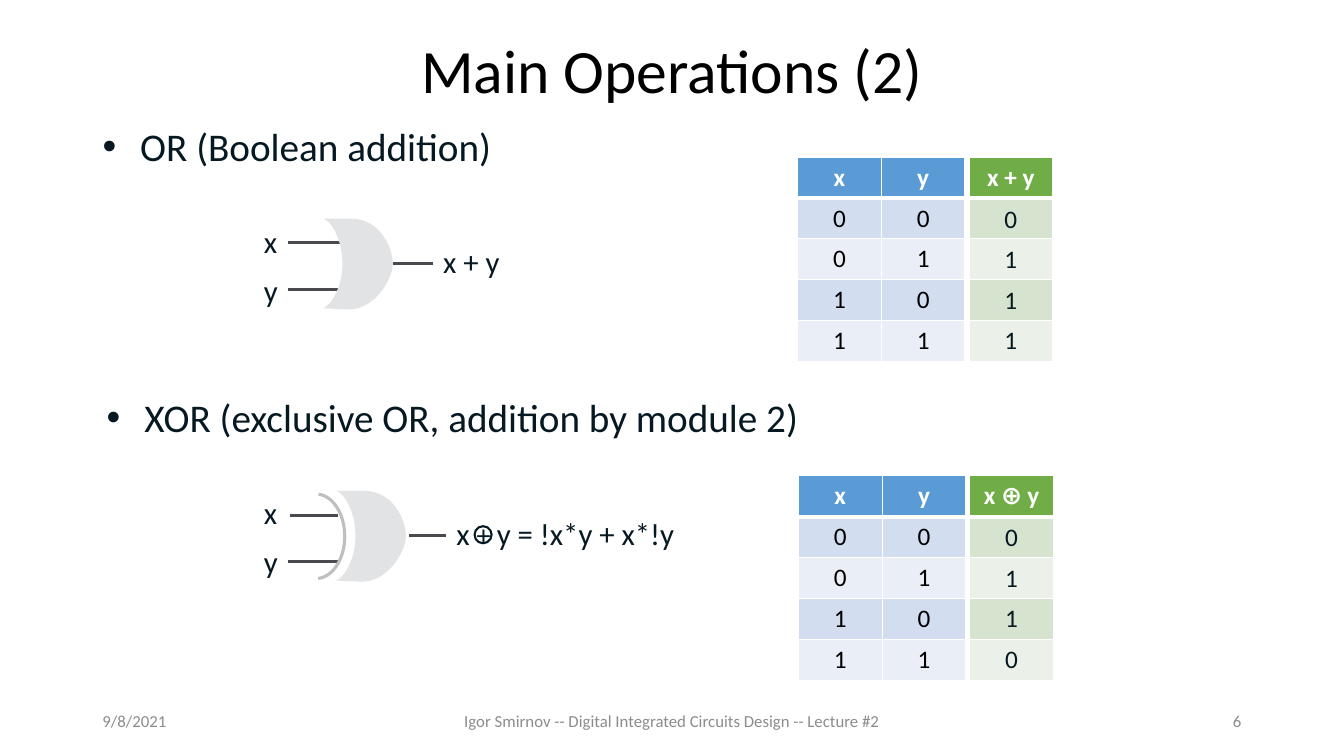
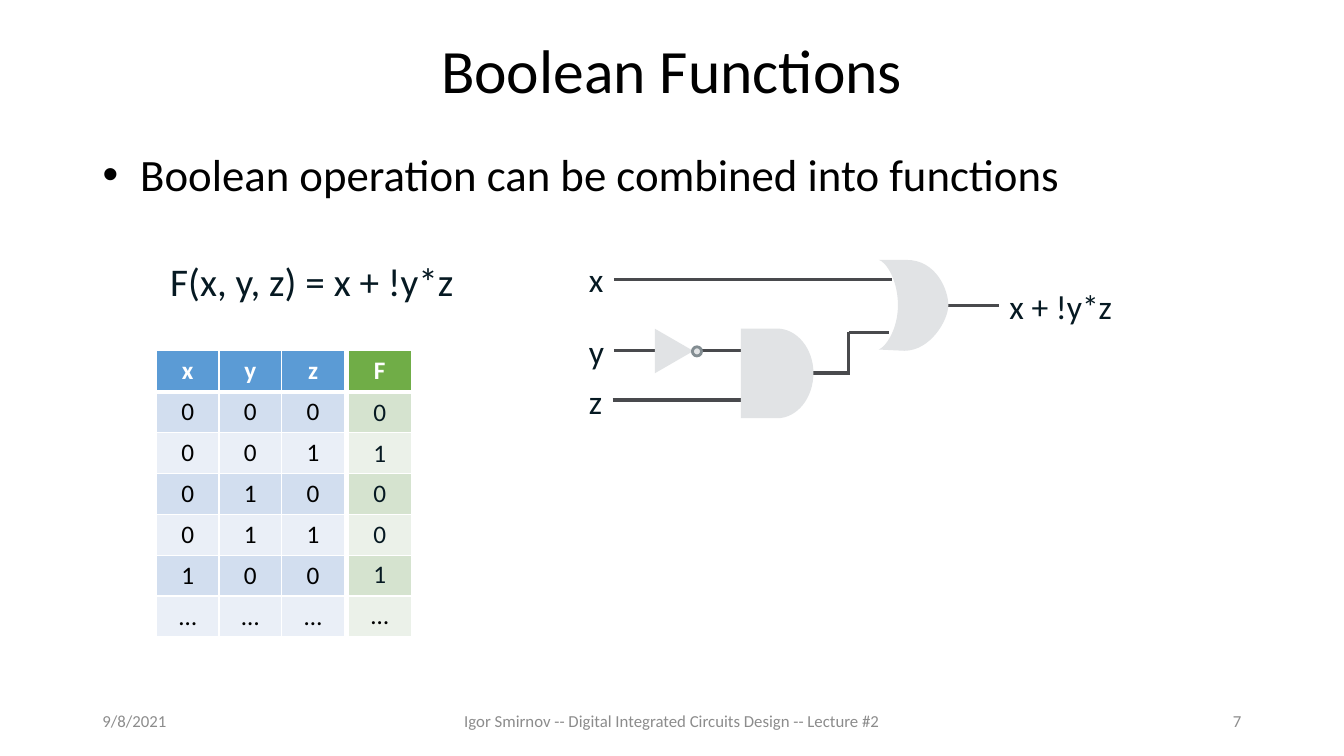
import copy
import dataclasses

import lxml.etree
import pptx
import pptx.dml.color
import pptx.enum.shapes
import pptx.enum.text
import pptx.oxml.ns
import pptx.util

Cm, Pt = pptx.util.Cm, pptx.util.Pt
ALIGN = pptx.enum.text.PP_ALIGN
MID, TOP = pptx.enum.text.MSO_ANCHOR.MIDDLE, pptx.enum.text.MSO_ANCHOR.TOP
KIND = pptx.enum.shapes.MSO_SHAPE
qn = pptx.oxml.ns.qn


@dataclasses.dataclass(frozen=True)
class Theme:
    font: str = "Calibri"
    black: str = "000000"
    white: str = "FFFFFF"
    ink: str = "061922"
    grey: str = "8C8C8C"
    wire: str = "494A4D"
    gate: str = "E1E3E5"
    arc: str = "BFBFBF"
    ring: str = "838D92"
    blue: tuple = ("5B9BD5", "D2DEEF", "EAEFF7")
    green: tuple = ("70AD47", "D5E3CF", "EBF1E9")
    title: int = 44
    lead: int = 32
    item: int = 28
    cell: int = 18
    foot: int = 12
    line: float = 2.25


T = Theme()

# All lengths are in centimetres. A bar in a text starts or ends a smaller run.
WIDE, HIGH = 33.87, 19.05
TITLE = (2.33, 0, 29.21, 3.7)
BANDS = {  # footer type: box, alignment
    "DATE": ((2.33, 17.65, 7.62, 1.01), ALIGN.LEFT),
    "FOOTER": ((11.22, 17.65, 11.43, 1.01), ALIGN.CENTER),
    "SLIDE_NUMBER": ((23.92, 17.65, 7.62, 1.01), ALIGN.RIGHT),
}
DATE = "9/8/2021"
FOOTER = "Igor Smirnov -- Digital Integrated Circuits Design -- Lecture #2"
ROW, GAP = 1.03, 0.1
VALUE = (1.09, 1.02)

# Outlines: a pair is a corner, six numbers are a Bezier curve.
OR = [(0.69, 0), (0, 0), (0.18, 0.05, 0.48, 0.5, 0.48, 1.14),
      (0.48, 1.75, 0.18, 2.18, 0, 2.26), (0.64, 2.29),
      (1.3, 2.29, 1.75, 1.52, 1.75, 1.14), (1.75, 0.76, 1.45, 0, 0.69, 0)]
AND = [(0, 0), (0.91, 0), (1.42, 0, 1.83, 0.51, 1.83, 1.12),
       (1.83, 1.75, 1.42, 2.26, 0.91, 2.26), (0, 2.26)]

PAIRS = ["0 0", "0 1", "1 0", "1 1"]
SLIDES = [
    dict(
        title="Main Operations (2)", page="6",
        body=("OR (Boolean addition)", (2.33, 2.95, 29.21, 1.5), T.item, T.ink),
        extra=("XOR (exclusive OR, addition by module 2)",
               (2.44, 9.78, 18.24, 2.03), T.item, T.ink),
        tables=[  # left, top, column width, inputs, rows, result, values
            (20.1, 3.96, 2.11, "x y", PAIRS, "x + y", "0 1 1 1"),
            (20.12, 11.99, 2.11, "x y", PAIRS, "x ⊕| |y", "0 1 1 0"),
        ],
        wires=[
            (7.26, 6.1, 8.59, 6.1), (7.26, 7.29, 8.59, 7.29),
            (9.91, 6.65, 10.92, 6.65),
            (7.32, 12.98, 8.51, 12.98), (7.26, 14.15, 8.51, 14.15),
            (10.31, 13.49, 11.25, 13.49),
        ],
        gates=[(OR, 8.15, 5.51), (OR, 8.48, 12.37)],
        labels=[  # text, left, top, width, size
            ("x", 6.4, 5.49, 0.86, 22), ("y", 6.4, 6.71, 0.86, 22),
            ("x + y", 10.92, 5.99, 1.96, 22),
            ("x", 6.4, 12.32, 0.86, 22), ("y", 6.4, 13.54, 0.86, 22),
            ("x |+ |y = !x*y + x*!y", 11.25, 12.84, 6.07, 22),
        ],
        marks=[  # kind, box, fill, line, line width, turn, adjustments
            (KIND.OVAL, (11.96, 13.26, 0.43, 0.43), None, T.ink, 1.5, 0, ()),
            (KIND.ARC, (7.24, 12.45, 1.45, 2.13), None, T.arc, T.line, 0,
             (164.091, 52.213)),
        ],
    ),
    dict(
        title="Boolean Functions", page="7",
        body=("Boolean operation can be combined into functions",
              (2.33, 3.58, 29.21, 1.83), T.lead, T.black),
        extra=None,
        tables=[
            (3.94, 8.84, 1.58, "x y z",
             ["0 0 0", "0 0 1", "0 1 0", "0 1 1", "1 0 0", "… … …"],
             "F", "0 1 0 0 1 …"),
        ],
        wires=[
            (15.47, 7.04, 22.48, 7.04), (15.47, 8.84, 16.51, 8.84),
            (17.68, 8.84, 18.67, 8.84), (15.44, 10.08, 18.67, 10.08),
            (20.5, 9.4, 21.39, 9.4), (21.39, 9.45, 21.39, 8.36),
            (21.39, 8.38, 22.4, 8.38), (23.9, 7.7, 25.17, 7.7),
        ],
        gates=[(AND, 18.67, 8.28), (OR, 22.15, 6.55)],
        labels=[
            ("F(x, y, z) = x + !y*z", 4.04, 6.35, 8.2, 28),
            ("x", 14.59, 6.4, 0.89, 24), ("y", 14.59, 8.22, 0.89, 24),
            ("z", 14.59, 9.47, 0.86, 24),
            ("x + !y*z", 25.19, 7.08, 3.12, 24),
        ],
        marks=[
            (KIND.ISOSCELES_TRIANGLE, (16.43, 8.36, 1.12, 0.97), T.gate,
             None, 0, 90, ()),
            (KIND.OVAL, (17.45, 8.74, 0.23, 0.23), T.gate, T.ring, 2, 0, ()),
        ],
    ),
]


def rgb(tone):
    return pptx.dml.color.RGBColor.from_string(tone)


def place(shape, box):
    shape.left, shape.top, shape.width, shape.height = map(Cm, box)


def write(frame, text, size, tone, align=ALIGN.LEFT, bold=False):
    """Fill the frame; every second part between bars is 2 pt smaller."""
    para = frame.paragraphs[0]
    para.alignment = align
    para.space_before = Pt(0)
    for n, part in enumerate(text.split("|")):
        run = para.add_run()
        run.text = part
        font = run.font
        font.name, font.size, font.bold = T.font, Pt(size - n % 2 * 2), bold
        font.color.rgb = rgb(tone)
    return para


def bullet(shape, text, size, tone):
    frame = shape.text_frame
    frame.word_wrap = True
    frame.auto_size = pptx.enum.text.MSO_AUTO_SIZE.NONE
    frame.vertical_anchor = TOP
    props = write(frame, text, size, tone)._p.get_or_add_pPr()
    props.set("marL", str(Cm(0.95)))
    props.set("indent", str(-Cm(0.95)))
    lxml.etree.SubElement(props, qn("a:buFont"), typeface="Arial")
    lxml.etree.SubElement(props, qn("a:buChar"), char="•")


def edges(cell, widths):
    """Draw white borders; widths maps L, R, T, B to points."""
    props = cell._tc.get_or_add_tcPr()
    for spot, (side, width) in enumerate(widths.items()):
        line = lxml.etree.Element(qn("a:ln" + side), w=str(Pt(width)))
        fill = lxml.etree.SubElement(line, qn("a:solidFill"))
        lxml.etree.SubElement(fill, qn("a:srgbClr"), val=T.white)
        props.insert(spot, line)


def grid(slide, left, top, width, rows, tones):
    count = len(rows[0])
    table = slide.shapes.add_table(
        len(rows), count, Cm(left), Cm(top),
        Cm(width * count), Cm(ROW * len(rows))).table
    for col in table.columns:
        col.width = Cm(width)
    for r, row in enumerate(rows):
        table.rows[r].height = Cm(ROW)
        head = r == 0
        for c, text in enumerate(row):
            cell = table.cell(r, c)
            cell.fill.solid()
            cell.fill.fore_color.rgb = rgb(tones[0 if head else 2 - r % 2])
            if text:
                write(cell.text_frame, text, T.cell,
                      T.white if head else T.black, ALIGN.CENTER, head)
            edges(cell, {"L": 1, "R": 1, "T": 3 if r == 1 else 1,
                         "B": 3 if head else 1})


def truth(slide, left, top, width, names, rows, result, values):
    """Table of inputs, and a column of results with its values on top."""
    inputs = [line.split() for line in [names, *rows]]
    grid(slide, left, top, width, inputs, T.blue)
    side = left + width * len(inputs[0]) + GAP
    grid(slide, side, top, width, [[result]] + [[""]] * len(rows), T.green)
    wide, high = VALUE
    for n, value in enumerate(values.split()):
        box = slide.shapes.add_textbox(*map(Cm, (
            side + (width - wide) / 2, top + ROW + n * high, wide, high)))
        box.text_frame.word_wrap = True
        write(box.text_frame, value, T.cell,
              T.black if value == "…" else T.ink, ALIGN.CENTER)


def wire(slide, *ends):
    line = slide.shapes.add_connector(
        pptx.enum.shapes.MSO_CONNECTOR.STRAIGHT, *map(Cm, ends))
    line.line.color.rgb = rgb(T.wire)
    line.line.width = Pt(T.line)
    lxml.etree.SubElement(line._element.spPr, qn("a:effectLst"))


def paint(shape, fill, line=None, width=0):
    shape.shadow.inherit = False
    if fill:
        shape.fill.solid()
        shape.fill.fore_color.rgb = rgb(fill)
    else:
        shape.fill.background()
    if line:
        shape.line.color.rgb = rgb(line)
        shape.line.width = Pt(width)
    else:
        shape.line.fill.background()


def gate(slide, steps, left, top):
    """Draw the outline by its corners, then bend the curved sides."""
    dots = [(Cm(left + s[-2]), Cm(top + s[-1])) for s in steps]
    form = slide.shapes.build_freeform(*dots[0])
    form.add_line_segments(dots[1:], close=True)
    shape = form.convert_to_shape()
    sides = list(shape._element.iter(qn("a:lnTo")))
    for side, step in zip(sides, steps[1:]):
        if len(step) == 6:
            side.tag = qn("a:cubicBezTo")
            for n in (0, 2):
                side.insert(n // 2, lxml.etree.Element(
                    qn("a:pt"), x=str(Cm(step[n])), y=str(Cm(step[n + 1]))))
    paint(shape, T.gate)


def mark(slide, kind, box, fill, line, width, turn, adjust):
    shape = slide.shapes.add_shape(kind, *map(Cm, box))
    shape.rotation = turn
    for n, value in enumerate(adjust):
        shape.adjustments[n] = value
    paint(shape, fill, line, width)


def label(slide, text, left, top, width, size):
    box = slide.shapes.add_textbox(
        *map(Cm, (left, top, width, size * 0.043 + 0.25)))
    box.text_frame.word_wrap = False
    write(box.text_frame, text, size, T.ink)


def setup(layout):
    """Give the layout the shared title and footer places."""
    boxes = {name: box for name, (box, _) in BANDS.items()} | {"TITLE": TITLE}
    for holder in layout.placeholders:
        name = holder.placeholder_format.type.name
        if name in boxes:
            place(holder, boxes[name])


def footer(slide, page):
    words = {"DATE": DATE, "FOOTER": FOOTER, "SLIDE_NUMBER": page}
    for holder in slide.slide_layout.placeholders:
        name = holder.placeholder_format.type.name
        if name in words:
            slide.shapes._spTree.append(copy.deepcopy(holder._element))
            frame = slide.shapes[-1].text_frame
            frame.text = ""
            frame.vertical_anchor = MID
            write(frame, words[name], T.foot, T.grey, BANDS[name][1])


def build(deck, layout, data):
    slide = deck.slides.add_slide(layout)
    frame = slide.shapes.title.text_frame
    frame.vertical_anchor = MID
    write(frame, data["title"], T.title, T.black,
          ALIGN.CENTER).line_spacing = 0.9
    text, box, size, tone = data["body"]
    place(slide.placeholders[1], box)
    bullet(slide.placeholders[1], text, size, tone)
    if data["extra"]:
        text, box, size, tone = data["extra"]
        bullet(slide.shapes.add_textbox(*map(Cm, box)), text, size, tone)
    footer(slide, data["page"])
    for key, draw in (("tables", truth), ("wires", wire), ("gates", gate),
                      ("marks", mark), ("labels", label)):
        for part in data[key]:
            draw(slide, *part)


deck = pptx.Presentation()
deck.slide_width, deck.slide_height = Cm(WIDE), Cm(HIGH)
layout = deck.slide_layouts[1]
setup(layout)
for data in SLIDES:
    build(deck, layout, data)
deck.save("out.pptx")
